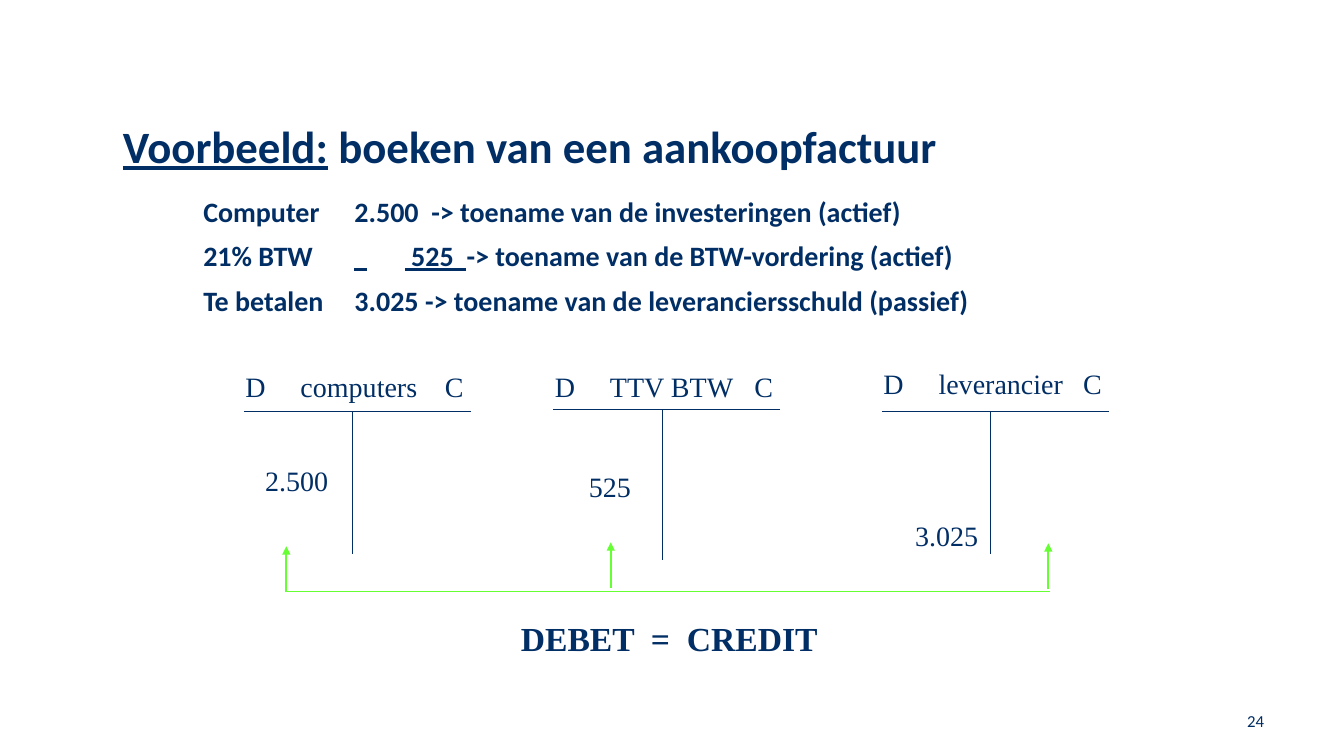
from dataclasses import dataclass
from lxml import etree
from pptx import Presentation
from pptx import util as u
from pptx.dml.color import RGBColor
from pptx.enum import shapes, text
from pptx.oxml.ns import qn

TITLE = [("Voorbeeld:", True), (" boeken van een aankoopfactuur", False)]
INVOICE = [
    ([("Computer\t2.500  -> toename van de investeringen (actief)", False)], [166.2]),
    ([("21% BTW\t", False), ("  ", True), ("\t", False), (" 525  ", True),
      ("-> toename van de BTW-vordering (actief)", False)], [101.2, 144.1]),
    ([("Te betalen\t3.025 -> toename van de leveranciersschuld (passief)", False)], [161.9]),
]
ACCOUNTS = [
    dict(name="computers", left=174.2, head=263.8, bar=293.8, foot=396,
         amount="2.500", amount_at=(189.3, 331)),
    dict(name="TTV BTW", left=395.3, head=263.8, bar=292.3, foot=400.3,
         amount="525", amount_at=(420.7, 335)),
    dict(name="leverancier", left=630, head=261.6, bar=293.8, foot=396,
         amount="3.025", amount_at=(653.6, 370)),
]
ARROWS = [(204.5, 390.2), (436.3, 387.4), (748.8, 388.1)]
BALANCE = "DEBET  =  CREDIT"
PAGE = "24"

ACCOUNT_W, STEM_X, HEAD_TABS = 162, 77.8, [39.4, 142.6]
ARROW_H, JOIN_Y, JOIN_END = 32.4, 422.6, 750.2


@dataclass
class Theme:
    navy: str = "002E65"
    green: str = "66FF33"
    sans: str = "Calibri"
    serif: str = "Times New Roman"
    title: int = 32
    body: int = 20
    balance: int = 24
    page: int = 12
    thin: float = 0.75
    thick: float = 1.25


T = Theme()


def add_runs(p, runs, font, size, bold=False):
    for words, underline in runs:
        r = p.add_run()
        r.text = words
        f = r.font
        f.name, f.size, f.bold, f.underline = font, u.Pt(size), bold, underline
        f.color.rgb = RGBColor.from_string(T.navy)


def set_tabs(p, stops):
    pPr = p._p.get_or_add_pPr()
    tabs = etree.SubElement(pPr, qn("a:tabLst"))
    for stop in stops:
        etree.SubElement(tabs, qn("a:tab"), pos=str(int(u.Pt(stop))), algn="l")


def place(sp, x, y, w, h):
    sp.left, sp.top, sp.width, sp.height = (u.Pt(v) for v in (x, y, w, h))


def frame(sp, left=7.2, right=7.2, edge=3.6, anchor=text.MSO_ANCHOR.TOP):
    tf = sp.text_frame
    tf.word_wrap, tf.auto_size = True, text.MSO_AUTO_SIZE.NONE
    tf.vertical_anchor = anchor
    tf.margin_left, tf.margin_right = u.Pt(left), u.Pt(right)
    tf.margin_top = tf.margin_bottom = u.Pt(edge)
    return tf


def add_label(s, box, words, font, size, bold=False, **insets):
    sp = s.shapes.add_textbox(*(u.Pt(v) for v in box))
    p = frame(sp, **insets).paragraphs[0]
    add_runs(p, [(words, False)], font, size, bold)
    return p


def add_line(s, x1, y1, x2, y2, color, width, arrow=False):
    c = s.shapes.add_connector(shapes.MSO_CONNECTOR.STRAIGHT,
                               *(u.Pt(v) for v in (x1, y1, x2, y2)))
    c.line.color.rgb = RGBColor.from_string(color)
    c.line.width = u.Pt(width)
    if arrow:
        etree.SubElement(c.line._get_or_add_ln(), qn("a:tailEnd"), type="triangle")
    etree.SubElement(c._element.spPr, qn("a:effectLst"))


def add_title(s):
    sp = s.shapes.title
    place(sp, 80.6, 82.1, 759.6, 48.2)
    p = frame(sp, anchor=text.MSO_ANCHOR.MIDDLE).paragraphs[0]
    p.alignment, p.line_spacing = text.PP_ALIGN.LEFT, 0.9
    add_runs(p, TITLE, T.sans, T.title, True)


def add_invoice(s):
    sp = s.placeholders[1]
    place(sp, 120, 138.2, 710, 113.8)
    tf = frame(sp, left=25.2)
    for i, (runs, stops) in enumerate(INVOICE):
        p = tf.add_paragraph() if i else tf.paragraphs[0]
        p.line_spacing, p.space_before = 0.9, u.Pt(10)
        pPr = p._p.get_or_add_pPr()
        pPr.set("marL", "0")
        pPr.set("indent", "0")
        etree.SubElement(pPr, qn("a:buNone"))
        set_tabs(p, stops)
        add_runs(p, runs, T.sans, T.body, True)


def add_account(s, a):
    flush = dict(left=0, right=0, edge=0)
    x, bar = a["left"], a["bar"]
    add_line(s, x, bar, x + ACCOUNT_W, bar, T.navy, T.thin)
    add_line(s, x + STEM_X, bar, x + STEM_X, a["foot"], T.navy, T.thin)
    p = add_label(s, (x + 1, a["head"], ACCOUNT_W + 8, 24),
                  f"D\t{a['name']}\tC", T.serif, T.body, **flush)
    set_tabs(p, HEAD_TABS)
    add_label(s, (*a["amount_at"], 60, 24), a["amount"], T.serif, T.body, **flush)


def main():
    prs = Presentation()
    prs.slide_width, prs.slide_height = u.Pt(960), u.Pt(540)
    s = prs.slides.add_slide(prs.slide_layouts[1])
    add_title(s)
    add_invoice(s)
    for account in ACCOUNTS:
        add_account(s, account)
    for x, top in ARROWS:
        add_line(s, x, top + ARROW_H, x, top, T.green, T.thick, arrow=True)
    add_line(s, ARROWS[0][0], JOIN_Y, JOIN_END, JOIN_Y, T.green, T.thick)
    add_label(s, (365, 437.8, 240, 36), BALANCE, T.serif, T.balance, True)
    p = add_label(s, (694, 500.4, 216, 28.8), PAGE, T.sans, T.page,
                  anchor=text.MSO_ANCHOR.MIDDLE)
    p.alignment = text.PP_ALIGN.RIGHT
    prs.save("out.pptx")


if __name__ == "__main__":
    main()
